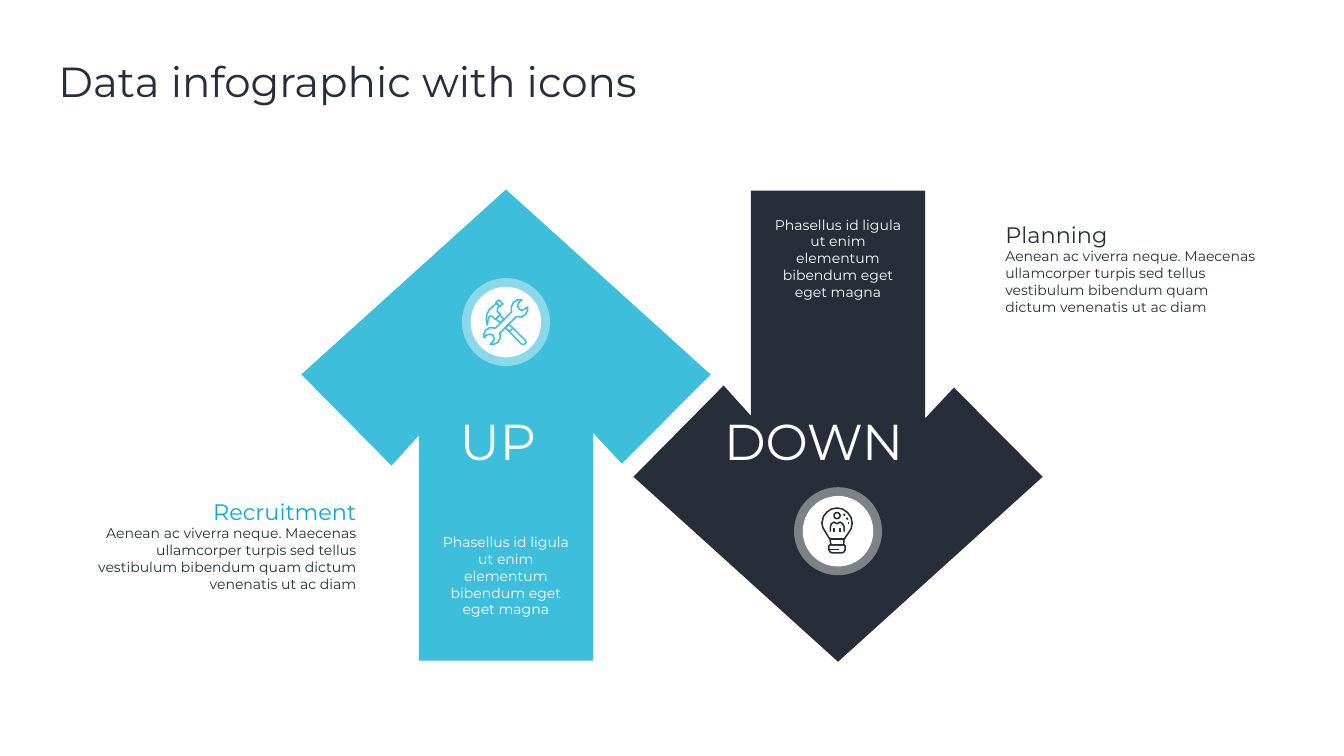
"""Build the slide with an up arrow and a down arrow, each with an icon."""
from lxml import etree
from pptx import Presentation
from pptx.dml.color import RGBColor
from pptx.enum.shapes import MSO_SHAPE
from pptx.enum.text import MSO_ANCHOR, MSO_AUTO_SIZE, PP_ALIGN
from pptx.oxml.ns import qn
from pptx.util import Inches, Pt

OVAL = MSO_SHAPE.OVAL
TOP, NO_FIT = MSO_ANCHOR.TOP, MSO_AUTO_SIZE.NONE
LEFT, CENTER, RIGHT = PP_ALIGN.LEFT, PP_ALIGN.CENTER, PP_ALIGN.RIGHT
WHITE = RGBColor(0xFF, 0xFF, 0xFF)
CYAN = RGBColor(0x3D, 0xBE, 0xDB)
BLUE = RGBColor(0x0C, 0xA8, 0xDA)
DARK = RGBColor(0x27, 0x2E, 0x3A)
FONT = "Montserrat"
ICON_LINE = 2.2

TITLE = "Data infographic with icons"
ARROW_TEXT = "Phasellus id ligula ut enim elementum bibendum eget eget magna"
CAPTION = ("Aenean ac viverra neque. Maecenas ullamcorper turpis sed tellus "
           "vestibulum bibendum quam dictum venenatis ut ac diam")

UP_ARROW = [(5.98, 7.43), (10.04, 3.76), (14.1, 7.43), (12.34, 9.2), (11.77, 8.59),
            (11.77, 13.11), (8.31, 13.11), (8.31, 8.64), (7.77, 9.24)]
SHIFT_X, MIRROR_Y = 6.59, 16.89
DOWN_ARROW = [(x + SHIFT_X, MIRROR_Y - y) for x, y in UP_ARROW]

ARROWS = [
    dict(points=UP_ARROW, color=CYAN, badge=(9.34, 5.69, 1.4, 1.4), word="UP",
         word_box=(9.03, 8.08, 1.73, 1.31), text_box=(8.56, 10.54, 2.96, 1.78)),
    dict(points=DOWN_ARROW, color=DARK, badge=(15.93, 9.84, 1.4, 1.4), word="DOWN",
         word_box=(14.27, 8.08, 3.83, 1.31), text_box=(15.15, 4.24, 2.96, 1.78)),
]
CAPTIONS = [
    ("Planning", DARK, LEFT, (19.85, 4.33, 5.21, 1.99)),
    ("Recruitment", BLUE, RIGHT, (1.67, 9.83, 5.5, 1.99)),
]

WRENCH = [(9.73, 6.83), (9.78, 6.78), (9.81, 6.72), (9.78, 6.65), (9.72, 6.63),
          (9.65, 6.65), (9.6, 6.7), (9.6, 6.63), (9.64, 6.55), (9.72, 6.5),
          (9.83, 6.51), (10.15, 6.19), (10.15, 6.08), (10.19, 6.0), (10.27, 5.95),
          (10.35, 5.95), (10.3, 6.0), (10.27, 6.07), (10.3, 6.13), (10.36, 6.16),
          (10.42, 6.13), (10.47, 6.09), (10.47, 6.16), (10.43, 6.24), (10.35, 6.29),
          (10.25, 6.28), (9.92, 6.61), (9.93, 6.7), (9.88, 6.79), (9.81, 6.83)]
HAMMER_TOP = [(9.84, 6.0), (9.9, 5.95), (9.98, 6.03), (9.92, 6.08)]
HAMMER_HEAD = [(9.67, 6.45), (9.65, 6.35), (9.66, 6.24), (9.71, 6.14), (9.78, 6.08),
               (9.85, 6.02), (9.91, 6.07), (9.87, 6.12), (9.87, 6.18), (9.93, 6.24),
               (9.83, 6.34), (9.77, 6.28), (9.73, 6.27), (9.7, 6.3), (9.68, 6.38)]
HAMMER_NECK = [(9.84, 6.33), (9.92, 6.25), (10.0, 6.33), (9.93, 6.4)]
HAMMER_HANDLE = [(10.03, 6.5), (10.1, 6.43), (10.42, 6.75), (10.44, 6.79),
                 (10.42, 6.82), (10.38, 6.84), (10.34, 6.82)]
HANDLE_MARK = [(10.1, 6.58), (10.18, 6.51)]

BULB = [(16.49, 10.81), (16.47, 10.7), (16.4, 10.59), (16.33, 10.47), (16.31, 10.38),
        (16.34, 10.25), (16.41, 10.16), (16.5, 10.1), (16.61, 10.08), (16.72, 10.1),
        (16.82, 10.17), (16.89, 10.27), (16.91, 10.38), (16.89, 10.49),
        (16.82, 10.6), (16.75, 10.7), (16.74, 10.81)]
BULB_BASE = [(16.47, 10.81), (16.75, 10.81), (16.77, 10.83), (16.77, 10.91),
             (16.75, 10.95), (16.71, 10.97), (16.51, 10.97), (16.47, 10.95),
             (16.45, 10.91), (16.45, 10.83)]
PERSON_BODY = [(16.48, 10.55), (16.48, 10.45), (16.5, 10.39), (16.55, 10.36),
               (16.61, 10.39), (16.67, 10.36), (16.72, 10.39), (16.75, 10.45),
               (16.75, 10.55)]
PERSON_HEAD = (16.55, 10.17, 0.12, 0.12)
BULB_LINES = [
    [(16.84, 10.36), (16.84, 10.4)], [(16.8, 10.27), (16.82, 10.31)],
    [(16.74, 10.2), (16.77, 10.23)], [(16.45, 10.9), (16.64, 10.9)],
    [(16.47, 10.7), (16.75, 10.7)], [(16.55, 10.47), (16.55, 10.55)],
    [(16.67, 10.47), (16.67, 10.55)],
]
TOOLS_ICON = dict(
    color=CYAN, ovals=[],
    closed=[WRENCH, HAMMER_TOP, HAMMER_HEAD, HAMMER_NECK, HAMMER_HANDLE],
    opened=[HANDLE_MARK])
BULB_ICON = dict(color=DARK, ovals=[PERSON_HEAD], closed=[BULB, BULB_BASE],
                 opened=[PERSON_BODY] + BULB_LINES)


def inches(values):
    return [Inches(v) for v in values]


def add_text(p, text, size=20, color=WHITE, align=LEFT):
    p.alignment = align
    r = p.add_run()
    r.text = text
    r.font.name, r.font.size, r.font.color.rgb = FONT, Pt(size), color


def add_box(shapes, box, wrap=True):
    tf = shapes.add_textbox(*inches(box)).text_frame
    tf.word_wrap = wrap
    return tf


def paint(sp, fill=None, line=None, width=ICON_LINE):
    sp.shadow.inherit = False
    if fill is None:
        sp.fill.background()
    else:
        sp.fill.solid()
        sp.fill.fore_color.rgb = fill
    if line is None:
        sp.line.fill.background()
    else:
        sp.line.color.rgb = line
        sp.line.width = Pt(width)


def add_outline(shapes, points, close=True, **look):
    start, *rest = [inches(point) for point in points]
    builder = shapes.build_freeform(*start, scale=1.0)
    builder.add_line_segments(rest, close=close)
    paint(builder.convert_to_shape(), **look)


def add_arrow(s, arrow):
    shapes = s.shapes.add_group_shape().shapes
    add_outline(shapes, arrow["points"], fill=arrow["color"])
    badge = shapes.add_shape(OVAL, *inches(arrow["badge"]))
    paint(badge, fill=WHITE, line=WHITE, width=25)
    color = badge.line._get_or_add_ln().find(".//" + qn("a:srgbClr"))
    etree.SubElement(color, qn("a:alpha"), val="40000")
    tf = add_box(shapes, arrow["word_box"], wrap=False)
    add_text(tf.paragraphs[0], arrow["word"], size=72)
    tf = add_box(shapes, arrow["text_box"])
    add_text(tf.paragraphs[0], ARROW_TEXT, align=CENTER)


def add_icon(s, icon):
    shapes = s.shapes.add_group_shape().shapes
    for points in icon["closed"]:
        add_outline(shapes, points, line=icon["color"])
    for points in icon["opened"]:
        add_outline(shapes, points, close=False, line=icon["color"])
    for box in icon["ovals"]:
        paint(shapes.add_shape(OVAL, *inches(box)), line=icon["color"])


def main():
    prs = Presentation()
    prs.slide_width, prs.slide_height = Inches(26.67), Inches(15)
    s = prs.slides.add_slide(prs.slide_layouts[5])

    title = s.shapes.title
    title.left, title.top, title.width, title.height = inches((1.06, 1.17, 13.45, 1.6))
    tf = title.text_frame
    tf.vertical_anchor, tf.auto_size, tf.word_wrap = TOP, NO_FIT, True
    tf.paragraphs[0].line_spacing = 0.9
    add_text(tf.paragraphs[0], TITLE, size=60, color=DARK)

    for arrow in ARROWS:
        add_arrow(s, arrow)
    for heading, color, align, box in CAPTIONS:
        tf = add_box(s.shapes, box)
        add_text(tf.paragraphs[0], heading, size=32, color=color, align=align)
        add_text(tf.add_paragraph(), CAPTION, color=DARK, align=align)
    for icon in (TOOLS_ICON, BULB_ICON):
        add_icon(s, icon)
    prs.save("out.pptx")


if __name__ == "__main__":
    main()
